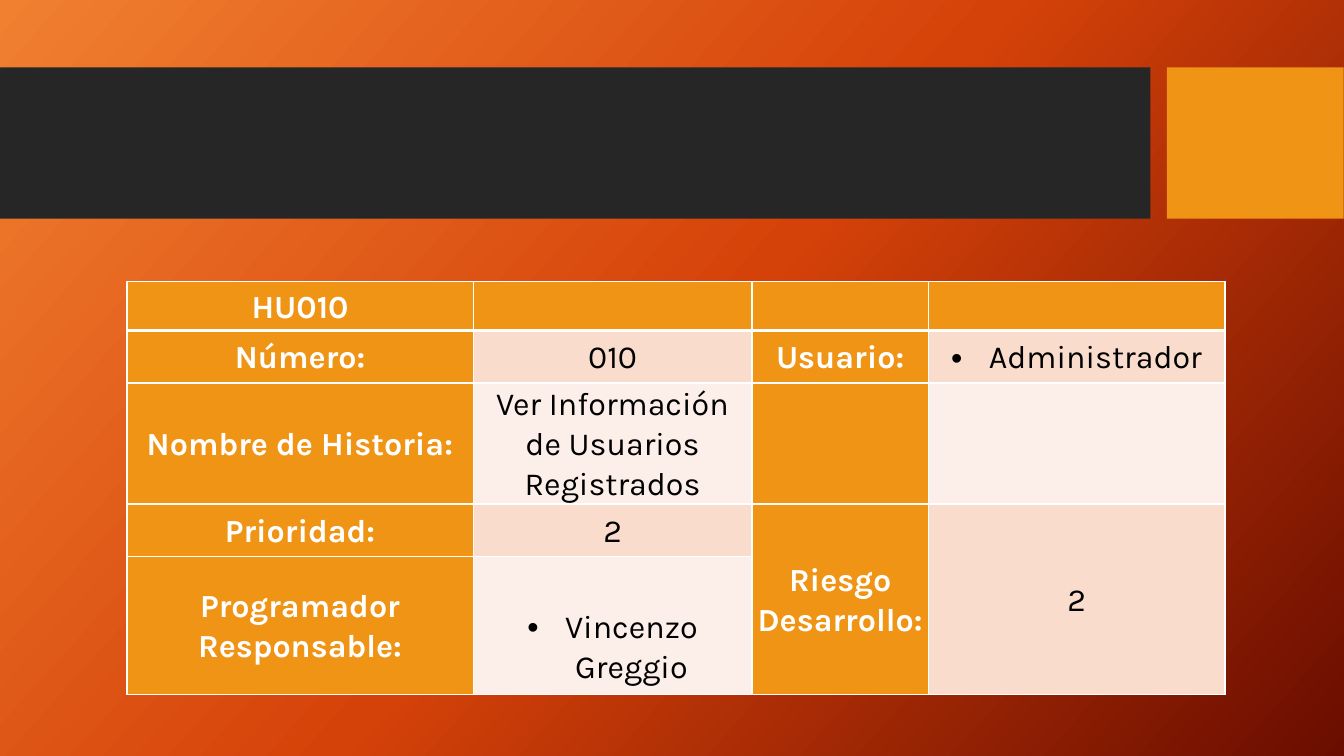
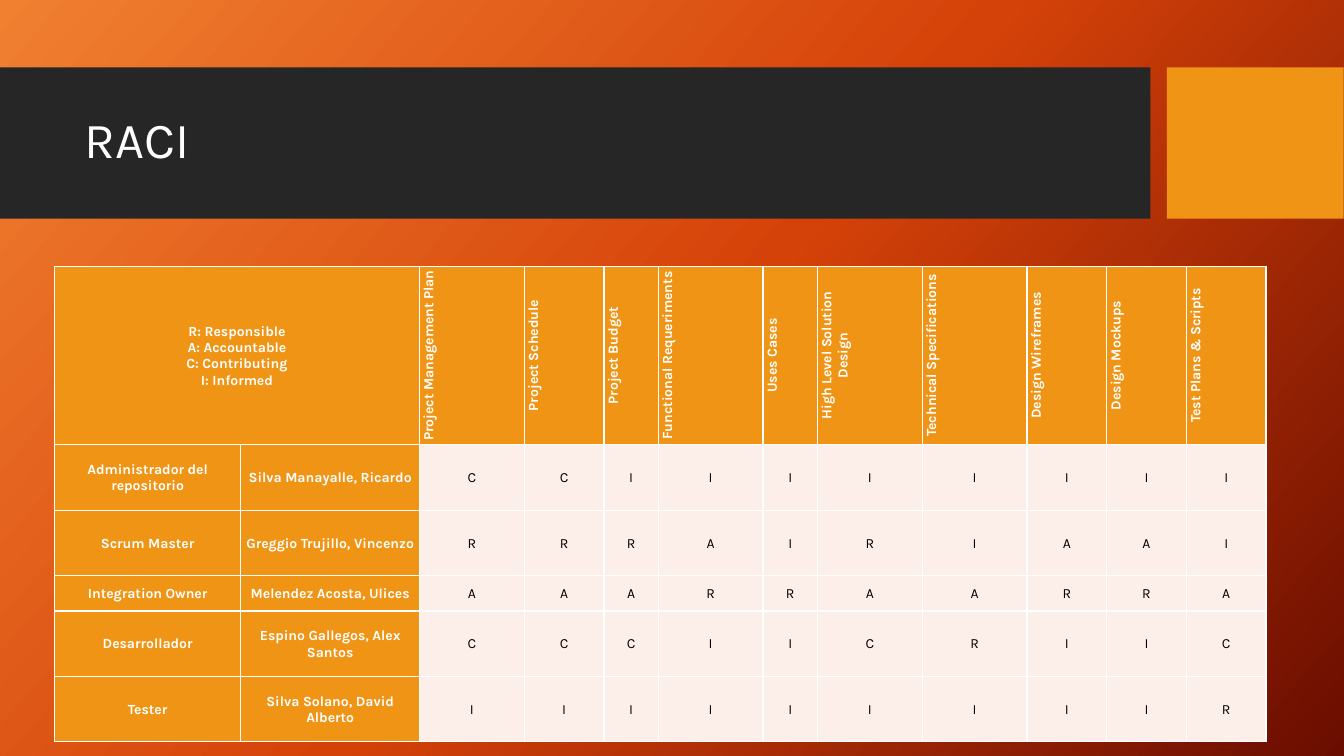
from copy import deepcopy
from dataclasses import dataclass

from lxml.etree import SubElement
from pptx import Presentation
from pptx.dml.color import RGBColor
from pptx.enum.shapes import MSO_SHAPE
from pptx.enum.text import MSO_ANCHOR, PP_ALIGN
from pptx.oxml.ns import qn
from pptx.slide import Slide, SlideLayout
from pptx.util import Cm, Pt

FONT = "Karla"
WHITE = RGBColor(0xFF, 0xFF, 0xFF)
BLACK = RGBColor(0x00, 0x00, 0x00)
CHARCOAL = RGBColor(0x26, 0x26, 0x26)
ORANGE = RGBColor(0xF0, 0x94, 0x15)
PEACH = RGBColor(0xF9, 0xDC, 0xCC)
PALE = RGBColor(0xFC, 0xEE, 0xE8)
BACKDROP = (
    (0, RGBColor(0xF1, 0x80, 0x31)),
    (0.5, RGBColor(0xD5, 0x42, 0x09)),
    (1, RGBColor(0x6A, 0x0D, 0x00)),
)


@dataclass(frozen=True)
class Band:
    left: float
    width: float
    color: RGBColor


@dataclass(frozen=True)
class Grid:
    """A table; lengths in centimetres, text and lines in points."""
    left: float
    top: float
    widths: tuple[float, ...]
    heights: tuple[float, ...]
    rows: tuple[tuple[str, ...], ...]
    label_columns: tuple[int, ...]
    shades: tuple[RGBColor, ...]
    merges: tuple[tuple[int, int, int, int], ...]
    size: float
    spacing: float
    side_margin: float
    top_margin: float
    header_line: float = 1
    upright_from: int | None = None
    lowered: tuple[tuple[int, int, float], ...] = ()


BANDS = (Band(0, 28.99, CHARCOAL), Band(29.41, 4.45, ORANGE))

STORY = Grid(
    left=3.2, top=7.09,
    widths=(8.73, 7.02, 4.45, 7.47),
    heights=(1.24, 1.32, 3.05, 1.32, 3.48),
    rows=(
        ("HU010", "", "", ""),
        ("Número:", "010", "Usuario:", "•Administrador"),
        ("Nombre de Historia:", "Ver Información de Usuarios Registrados", "", ""),
        ("Prioridad:", "2", "Riesgo Desarrollo:", "2"),
        ("Programador Responsable:", "•Vincenzo Greggio", "", ""),
    ),
    label_columns=(0, 2), shades=(PALE, PEACH),
    merges=((3, 2, 4, 2), (3, 3, 4, 3)),
    size=23, spacing=1.07, side_margin=0.13, top_margin=0,
    header_line=3, lowered=((4, 1, 1.05),),
)

RACI = Grid(
    left=1.37, top=6.71,
    widths=(4.7, 4.5, 2.64, 2.01, 1.37, 2.64, 1.37, 2.64, 2.64, 2.01, 2.01, 2.01),
    heights=(4.47, 1.65, 1.65, 0.89, 1.65, 1.65),
    rows=(
        ("R: Responsible\nA: Accountable\nC: Contributing\nI: Informed", "",
         "Project Management Plan", "Project Schedule", "Project Budget",
         "Functional Requeriments", "Uses Cases", "High Level Solution Design",
         "Technical Specifications", "Design Wireframes", "Design Mockups",
         "Test Plans & Scripts"),
        ("Administrador del repositorio", "Silva Manayalle, Ricardo", *"CCIIIIIIII"),
        ("Scrum Master", "Greggio Trujillo, Vincenzo", *"RRRAIRIAAI"),
        ("Integration Owner", "Melendez Acosta, Ulices", *"AAARRAARRA"),
        ("Desarrollador", "Espino Gallegos, Alex Santos", *"CCCIICRIIC"),
        ("Tester", "Silva Solano, David Alberto", *"IIIIIIIIIR"),
    ),
    label_columns=(0, 1), shades=(PALE,),
    merges=((0, 0, 0, 1),),
    size=10, spacing=1, side_margin=0.03, top_margin=0.03,
    upright_from=2,
)


def apply(target, values: dict) -> None:
    for name, value in values.items():
        setattr(target, name, value)


def format_text(frame, paragraph_values: dict, size: float, color: RGBColor, bold: bool) -> None:
    for para in frame.paragraphs:
        apply(para, paragraph_values)
        for span in para.runs:
            apply(span.font, {"name": FONT, "size": Pt(size), "bold": bold})
            span.font.color.rgb = color


def style_layout(layout: SlideLayout, page: Slide) -> None:
    """Give the layout its backdrop, bands and title position."""
    fill = layout.background.fill
    fill.gradient()
    fill.gradient_angle = 318
    stop_list = layout.element.find(".//" + qn("a:gsLst"))
    stop_list.append(deepcopy(stop_list[-1]))
    for stop, (position, color) in zip(fill.gradient_stops, BACKDROP):
        stop.position = position
        stop.color.rgb = color

    # Bands are drawn on a page, then moved behind the layout's placeholders
    for index, band in enumerate(BANDS):
        box = page.shapes.add_shape(
            MSO_SHAPE.RECTANGLE, Cm(band.left), Cm(1.7), Cm(band.width), Cm(3.81))
        box.shadow.inherit = False
        box.fill.solid()
        box.fill.fore_color.rgb = band.color
        box.line.fill.background()
        layout.shapes.element.insert(2 + index, box.element)

    apply(layout.placeholders[0], {
        "left": Cm(1.88), "top": Cm(2.08), "width": Cm(26.7), "height": Cm(3)})


def set_title(page: Slide, text: str) -> None:
    title = page.shapes.title
    if not text:
        title.element.getparent().remove(title.element)
        return
    frame = title.text_frame
    frame.text = text
    frame.vertical_anchor = MSO_ANCHOR.MIDDLE
    format_text(frame, {"alignment": PP_ALIGN.LEFT, "line_spacing": 0.9}, 36, WHITE, False)


def set_borders(cell, top: float, bottom: float) -> None:
    properties = cell._tc.get_or_add_tcPr()
    sides = {"a:lnL": 1, "a:lnR": 1, "a:lnT": top, "a:lnB": bottom}
    for index, (tag, width) in enumerate(sides.items()):
        line = SubElement(properties, qn(tag), w=str(Pt(width)))
        solid = SubElement(line, qn("a:solidFill"))
        SubElement(solid, qn("a:srgbClr"), val=str(WHITE))
        properties.insert(index, line)


def add_bullet(para) -> None:
    properties = para._p.get_or_add_pPr()
    apply_indent = {"marL": Cm(0.95), "indent": -Cm(0.95)}
    for name, value in apply_indent.items():
        properties.set(name, str(int(value)))
    SubElement(properties, qn("a:buFont"), typeface="Arial")
    SubElement(properties, qn("a:buChar"), char="•")


def fill_cell(cell, grid: Grid, row: int, column: int) -> None:
    text = grid.rows[row][column]
    is_label = row == 0 or column in grid.label_columns
    cell.fill.solid()
    cell.fill.fore_color.rgb = ORANGE if is_label else grid.shades[row % len(grid.shades)]
    apply(cell, {
        "vertical_anchor": MSO_ANCHOR.MIDDLE,
        "margin_left": Cm(grid.side_margin), "margin_right": Cm(grid.side_margin),
        "margin_top": Cm(grid.top_margin), "margin_bottom": 0})
    set_borders(cell, grid.header_line if row == 1 else 1, grid.header_line if row == 0 else 1)
    if not text:
        return
    cell.text_frame.text = text.removeprefix("•")
    format_text(
        cell.text_frame, {"alignment": PP_ALIGN.CENTER, "line_spacing": grid.spacing},
        grid.size, WHITE if is_label else BLACK, is_label)
    if text.startswith("•"):
        add_bullet(cell.text_frame.paragraphs[0])
    if row == 0 and grid.upright_from is not None and column >= grid.upright_from:
        cell._tc.get_or_add_tcPr().set("vert", "vert270")


def add_grid(page: Slide, grid: Grid) -> None:
    table = page.shapes.add_table(
        len(grid.heights), len(grid.widths), Cm(grid.left), Cm(grid.top),
        Cm(sum(grid.widths)), Cm(sum(grid.heights))).table
    for column, width in zip(table.columns, grid.widths):
        column.width = Cm(width)
    for row, height in zip(table.rows, grid.heights):
        row.height = Cm(height)
    for row in range(len(grid.heights)):
        for column in range(len(grid.widths)):
            fill_cell(table.cell(row, column), grid, row, column)
    for row, column, margin in grid.lowered:
        table.cell(row, column).margin_top = Cm(margin)
    for top, left, bottom, right in grid.merges:
        table.cell(top, left).merge(table.cell(bottom, right))


def main() -> None:
    deck = Presentation()
    apply(deck, {"slide_width": Cm(33.87), "slide_height": Cm(19.05)})
    layout = deck.slide_layouts.get_by_name("Title Only")
    pages = [deck.slides.add_slide(layout) for _ in range(2)]
    style_layout(layout, pages[0])

    # User story card, then the responsibility matrix
    for page, title, grid in zip(pages, ("", "RACI"), (STORY, RACI)):
        set_title(page, title)
        add_grid(page, grid)
    deck.save("out.pptx")


if __name__ == "__main__":
    main()
